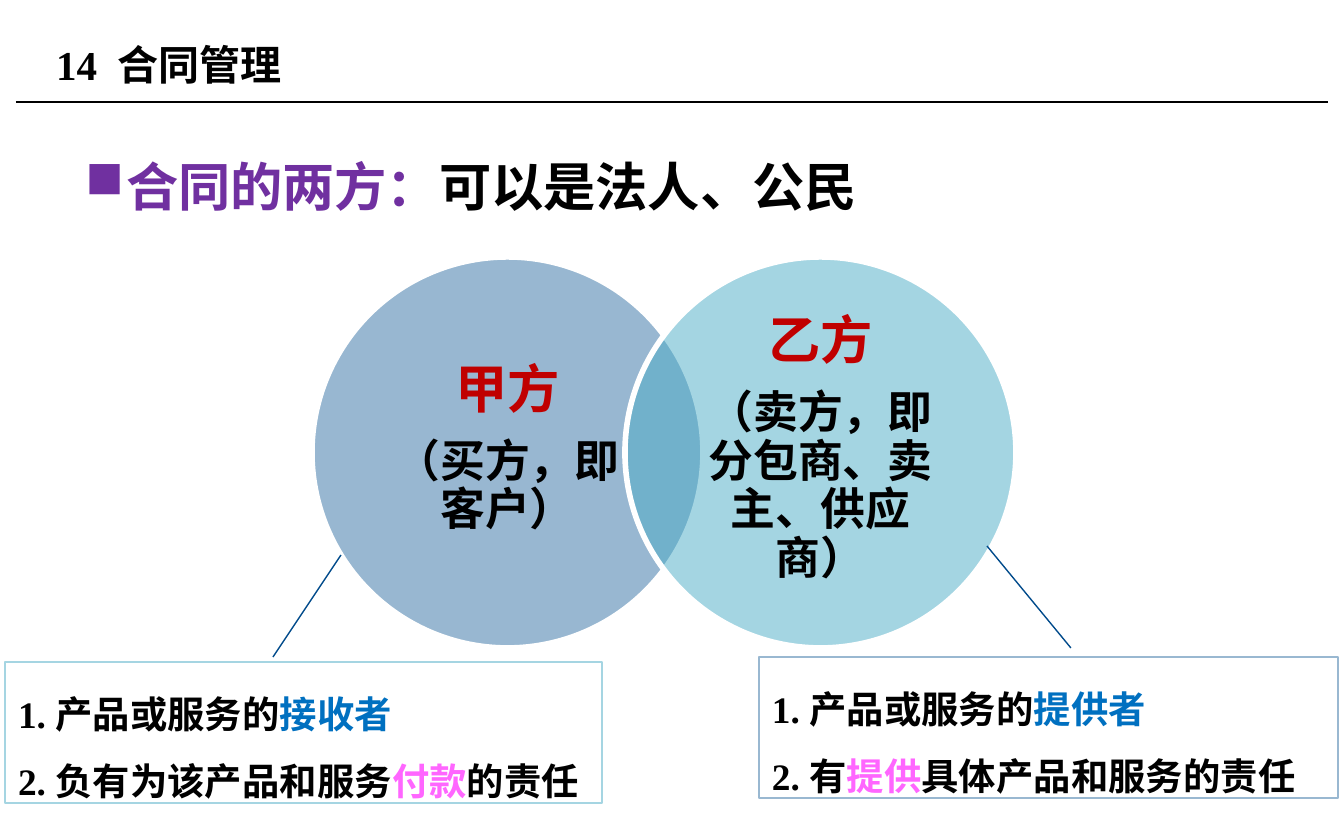
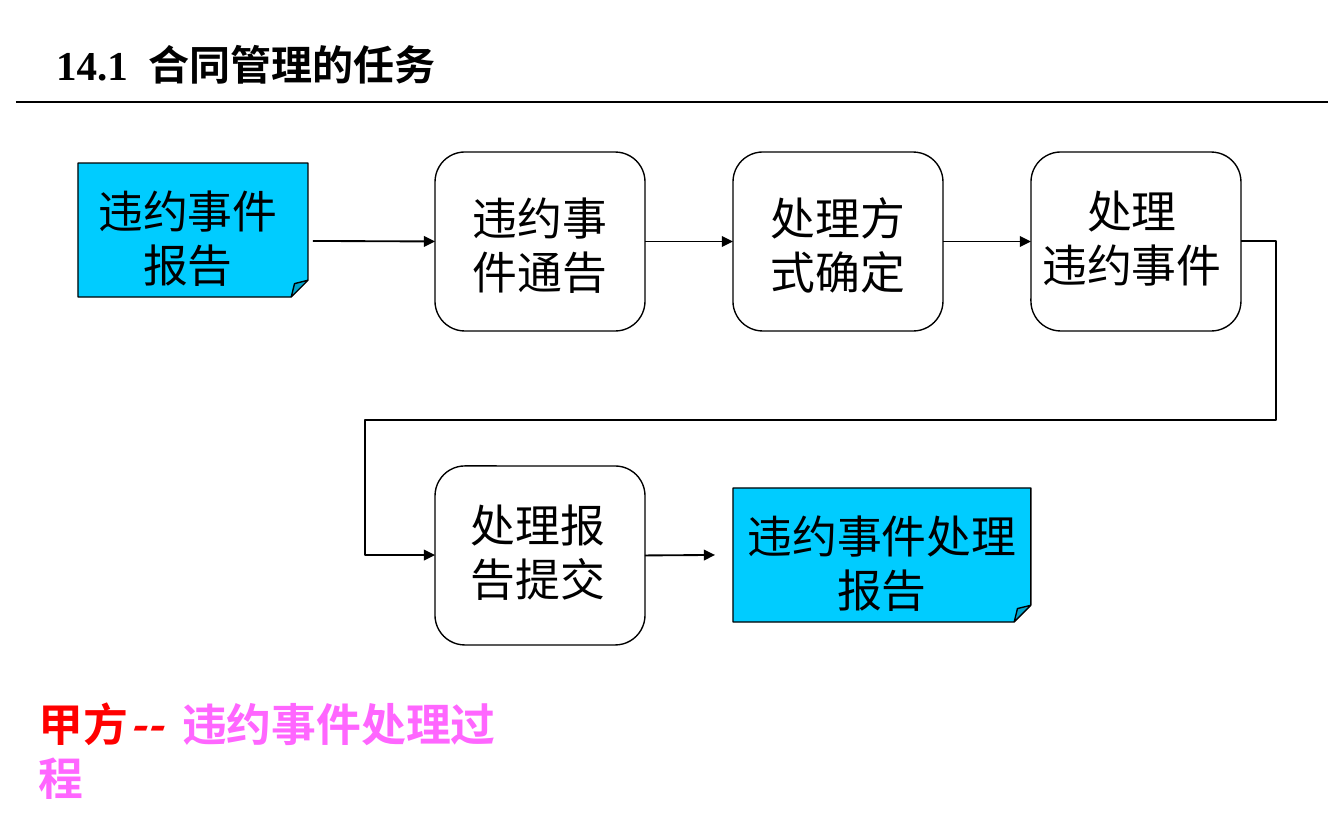
import pptx
import pptx.util
import pptx.dml.color
import pptx.enum.shapes
import pptx.enum.text
import pptx.oxml.ns

PX = 6804  # EMU per px, 134.4 px to the inch
Pt = pptx.util.Pt
rgb = pptx.dml.color.RGBColor.from_string
qn = pptx.oxml.ns.qn
MSO = pptx.enum.shapes.MSO_SHAPE
STRAIGHT = pptx.enum.shapes.MSO_CONNECTOR.STRAIGHT
ALIGN = pptx.enum.text.PP_ALIGN
ANCHOR = pptx.enum.text.MSO_ANCHOR

SERIF, SANS_SC, SANS_JP = "Times New Roman", "Noto Sans CJK SC", "Noto Sans CJK JP"
BLACK, WHITE, RED, BRIGHT_RED = "000000", "FFFFFF", "C00000", "FF0000"
PURPLE, BLUE, PINK, NAVY, CYAN = "7030A0", "0070C0", "FF66FF", "004A8B", "00CCFF"


def write(tf, paras, lead=None, after=0, align=ALIGN.LEFT, anchor=ANCHOR.TOP,
          inset=(13, 7, 13, 7), font=SERIF, bold=True):
    """Fill a text frame; paras holds (size, [(text, colour, optional format)])."""
    frame = dict(word_wrap=True, auto_size=pptx.enum.text.MSO_AUTO_SIZE.NONE,
                 vertical_anchor=anchor)
    for side, gap in zip(("left", "top", "right", "bottom"), inset):
        frame["margin_" + side] = gap * PX
    for k, v in frame.items():
        setattr(tf, k, v)
    for i, (size, runs) in enumerate(paras):
        p = tf.add_paragraph() if i else tf.paragraphs[0]
        form = dict(alignment=align, space_before=Pt(0), space_after=Pt(after))
        if lead:
            form["line_spacing"] = Pt(lead)
        for k, v in form.items():
            setattr(p, k, v)
        for text, colour, *extra in runs:
            for j, line in enumerate(text.split("\n")):
                if j:
                    p.add_line_break()
                r = p.add_run()
                r.text = line
                fmt = dict(name=font, size=Pt(size), bold=bold)
                fmt.update(*extra)
                for k, v in fmt.items():
                    setattr(r.font, k, v)
                r.font.color.rgb = rgb(colour)
                latin = r._r.rPr.find(qn("a:latin"))
                ea = latin.makeelement(qn("a:ea"), {})
                ea.set("typeface", SANS_JP if font == SANS_JP else SANS_SC)
                latin.addnext(ea)


def style(sp, line, width=0.75, fill=None, alpha=None, arrow=False):
    """Set line, fill and arrowhead, and take the shadow away."""
    sp.line.color.rgb = rgb(line)
    sp.line.width = Pt(width)
    spPr = sp.element.spPr
    if arrow:
        ln = spPr.find(qn("a:ln"))
        ln.append(ln.makeelement(qn("a:tailEnd"), {"type": "triangle"}))
    if sp.element.tag == qn("p:cxnSp"):
        spPr.append(spPr.makeelement(qn("a:effectLst"), {}))
        return
    sp.shadow.inherit = False
    if fill is None:
        sp.fill.background()
        return
    sp.fill.solid()
    sp.fill.fore_color.rgb = rgb(fill)
    if alpha:
        clr = spPr.find(qn("a:solidFill"))[0]
        clr.append(clr.makeelement(qn("a:alpha"), {"val": str(alpha * 1000)}))


prs = pptx.Presentation()
prs.slide_width, prs.slide_height = 1344 * PX, 840 * PX

# Title and rule on both slides
for title in ("14  合同管理", "14.1  合同管理的任务"):
    s = prs.slides.add_slide(prs.slide_layouts[5])
    sp = s.shapes.title
    sp.left, sp.top, sp.width, sp.height = (v * PX for v in (43, 17, 857, 95))
    write(sp.text_frame, [(22, [(title, BLACK)])], anchor=ANCHOR.MIDDLE)
    rule = s.shapes.add_connector(STRAIGHT, *(v * PX for v in (16, 102, 1328, 102)))
    style(rule, BLACK)
parties, process = prs.slides

# Slide 1: the two parties of a contract
sp = parties.shapes.add_textbox(*(v * PX for v in (4, 117, 1232, 520)))
write(sp.text_frame, [(28, [("合同的两方：", PURPLE), ("可以是法人、公民", BLACK)])], lead=50)
pPr = sp.text_frame.paragraphs[0]._p.get_or_add_pPr()
pPr.set("marL", str(109 * PX))
pPr.set("indent", str(-41 * PX))
pPr.append(pPr.makeelement(qn("a:buChar"), {"char": "■"}))

for x, fill, party, role in (
        (312, "3371A4", "甲方", "（买方，即客户）"),
        (625, "4BACC6", "乙方", "（卖方，即分包商、卖主、供应商）")):
    sp = parties.shapes.add_shape(MSO.OVAL, *(v * PX for v in (x, 257, 391, 391)))
    style(sp, WHITE, 3, fill, alpha=50)
    write(sp.text_frame, [(28, [(party, RED)]), (24, [(role, BLACK)])], lead=26, after=10,
          align=ALIGN.CENTER, anchor=ANCHOR.MIDDLE, inset=(21, 5, 21, 5))

duties = (
    ((5, 662, 597, 141), "A5D5E2", (273, 657, 341, 555), "接收者",
     [("2. 负有为该产品和服务", BLACK), ("付款", PINK), ("的责任", BLACK)]),
    ((759, 657, 579, 141), "99B8D1", (987, 546, 1071, 648), "提供者",
     [("2. 有", BLACK), ("提供", PINK), ("具体产品和服务的责任", BLACK)]),
)
for box, border, leader, role, duty in duties:
    sp = parties.shapes.add_shape(MSO.RECTANGLE, *(v * PX for v in box))
    style(sp, border)
    write(sp.text_frame, [(20, [("1. 产品或服务的", BLACK), (role, BLUE)]), (20, duty)], lead=36)
    style(parties.shapes.add_connector(STRAIGHT, *(v * PX for v in leader)), NAVY)

# Slide 2: how a breach is handled
STEP_W, STEP_H, STEP_X, STEP_GAP, ROW_1, ROW_2 = 210, 179, 435, 298, 152, 466
steps = []
for col, top, text, inset in (
        (0, ROW_1, "违约事\n件通告", (0, 6, 0, 0)),
        (1, ROW_1, "处理方\n式确定", (0, 6, 0, 0)),
        (2, ROW_1, "处理\n违约事件", (0, 0, 8, 8)),
        (0, ROW_2, "处理报\n告提交", (0, 0, 4, 8))):
    box = (STEP_X + col * STEP_GAP, top, STEP_W, STEP_H)
    sp = process.shapes.add_shape(MSO.ROUNDED_RECTANGLE, *(v * PX for v in box))
    style(sp, BLACK)
    write(sp.text_frame, [(24, [(text, BLACK)])], lead=29, align=ALIGN.CENTER,
          anchor=ANCHOR.MIDDLE, inset=inset, font=SANS_JP, bold=False)
    steps.append(sp)

for box, text, right in (
        ((78, 163, 230, 134), "违约事件\n报告", 10),
        ((733, 488, 298, 134), "违约事件处理\n报告", 0)):
    sp = process.shapes.add_shape(MSO.FOLDED_CORNER, *(v * PX for v in box))
    guides = sp.element.spPr.find(qn("a:prstGeom")).get_or_add_avLst()
    guides.append(guides.makeelement(qn("a:gd"), {"name": "adj", "fmla": "val 12500"}))
    style(sp, BLACK, fill=CYAN)
    write(sp.text_frame, [(24, [(text, BLACK)])], lead=29, align=ALIGN.CENTER,
          inset=(0, 20, right, 0), font=SANS_JP, bold=False)

notice, decide, handle, submit = steps
mid_1, mid_2 = ROW_1 + STEP_H // 2, ROW_2 + STEP_H // 2
for x1, x2, y, source, target in (
        (313, 435, mid_1, None, notice),
        (645, 733, mid_1, notice, decide),
        (943, 1031, mid_1, decide, handle),
        (645, 715, mid_2, submit, None)):
    arrow = process.shapes.add_connector(STRAIGHT, *(v * PX for v in (x1, y, x2, y)))
    if source:
        arrow.begin_connect(source, 3)
    if target:
        arrow.end_connect(target, 1)
    style(arrow, BLACK, 1, arrow=True)

bend = process.shapes.build_freeform(1241, mid_1, scale=PX)
bend.add_line_segments([(1276, mid_1), (1276, 420), (365, 420), (365, mid_2), (435, mid_2)],
                       close=False)
style(bend.convert_to_shape(), BLACK, 1, arrow=True)

sp = process.shapes.add_textbox(*(v * PX for v in (39, 722, 490, 56)))
caption = [("甲方", BRIGHT_RED), ("--  ", BRIGHT_RED, dict(name=SANS_SC, italic=True)),
           ("违约事件处理过程", PINK)]
write(sp.text_frame, [(24, caption)], lead=29, anchor=ANCHOR.MIDDLE, inset=(0, 1, 0, 0))

prs.save("out.pptx")
